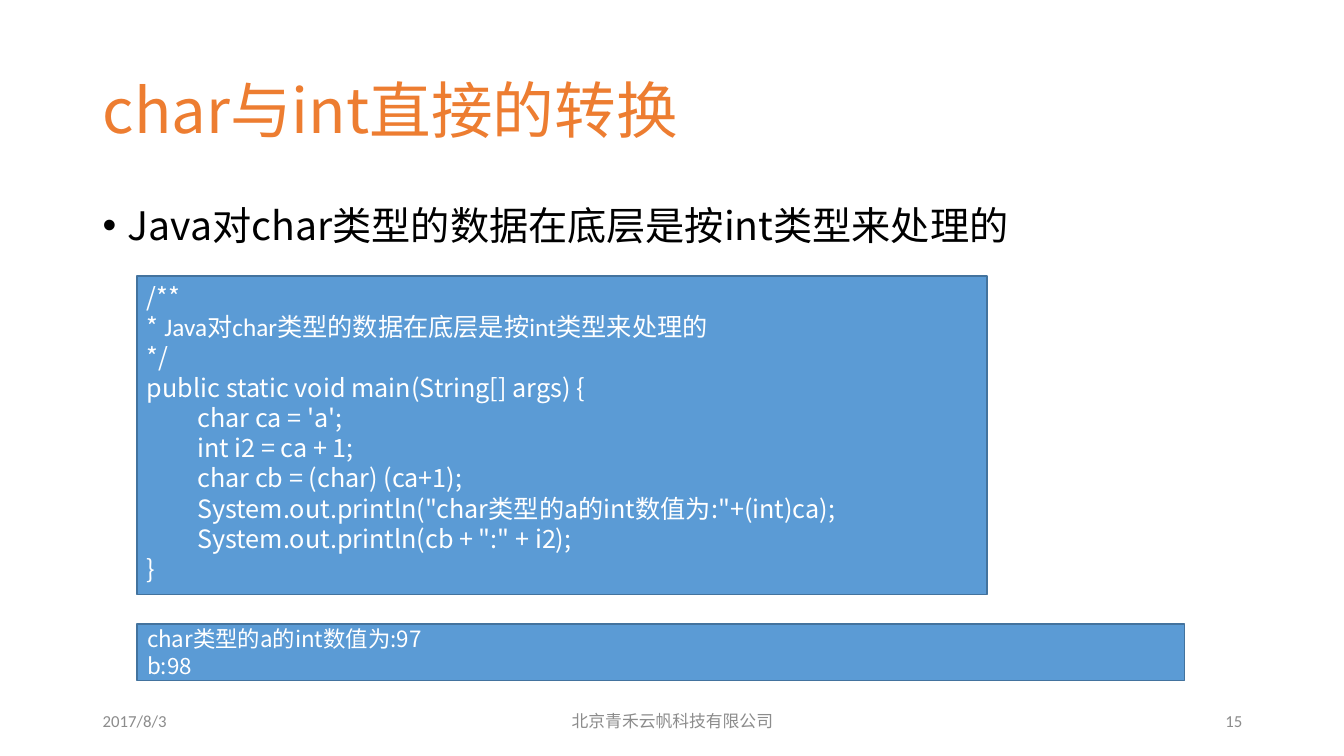
from dataclasses import dataclass
from typing import Optional

from lxml.etree import SubElement
from pptx import Presentation
from pptx.dml.color import RGBColor as Rgb
from pptx.enum.shapes import MSO_SHAPE as Kind
from pptx.enum.text import MSO_ANCHOR as Anchor, PP_ALIGN as Align
from pptx.oxml.ns import qn
from pptx.util import Inches, Pt

COLORS = {"title": "ED7D31", "body": "000000", "foot": "8C8C8C",
          "code": "FFFFFF", "fill": "5B9BD5", "edge": "43739E"}
NOTO = "Noto Sans CJK SC"
LATIN = "Calibri"
RULE = "Java对char类型的数据在底层是按int类型来处理的"
CODE = """/**
* 
*/
public static void main(String[] args) {
\tchar ca = 'a';
\tint i2 = ca + 1;
\tchar cb = (char) (ca+1);
\tSystem.out.println("char类型的a的int数值为:"+(int)ca);
\tSystem.out.println(cb + ":" + i2);
}"""
PRINT = "char类型的a的int数值为:97\nb:98"


@dataclass
class Block:
    text: str
    left: float
    top: float
    width: float
    height: float
    size: int
    color: str
    font: str = NOTO
    anchor: Anchor = Anchor.MIDDLE
    align: Align = Align.LEFT
    pitch: Optional[float] = None
    panel: bool = False


def set_font(run, block: Block, font: str) -> None:
    run.font.size = Pt(block.size)
    run.font.name = font
    run.font.color.rgb = Rgb.from_string(COLORS[block.color])
    SubElement(run.font._element, qn("a:ea"), typeface=NOTO)


def draw(slide, block: Block):
    place = [Inches(n) for n in (block.left, block.top, block.width, block.height)]
    if block.panel:
        shape = slide.shapes.add_shape(Kind.RECTANGLE, *place)
        shape.shadow.inherit = False
        shape.fill.solid()
        shape.fill.fore_color.rgb = Rgb.from_string(COLORS["fill"])
        shape.line.color.rgb = Rgb.from_string(COLORS["edge"])
        shape.line.width = Pt(1)
    else:
        shape = slide.shapes.add_textbox(*place)
    frame = shape.text_frame
    frame.word_wrap = True
    frame.vertical_anchor = block.anchor
    frame.text = block.text
    for line in frame.paragraphs:
        line.alignment = block.align
        if block.pitch:
            line.line_spacing = block.pitch
        for run in line.runs:
            set_font(run, block, block.font)
    return frame


def add_bullet(line) -> None:
    props = line._p.get_or_add_pPr()
    props.set("marL", str(Inches(0.25)))
    props.set("indent", str(-Inches(0.25)))
    SubElement(props, qn("a:buFont"), typeface="Arial")
    SubElement(props, qn("a:buChar"), char="•")


def main() -> None:
    deck = Presentation()
    deck.slide_width, deck.slide_height = Inches(13.33), Inches(7.5)
    slide = deck.slides.add_slide(deck.slide_layouts[6])

    title = Block("char与int直接的转换", 0.92, 0.4, 8.69, 1.45, 44, "title", pitch=0.9)
    body = Block(RULE, 0.92, 2, 11.5, 4.76, 28, "body", anchor=Anchor.TOP, pitch=0.9)
    code = Block(CODE, 1.36, 2.74, 8.43, 3.16, 18, "code", anchor=Anchor.TOP,
                 pitch=Pt(21.6), panel=True)
    result = Block(PRINT, 1.36, 6.19, 10.39, 0.56, 16, "code", pitch=Pt(19.2), panel=True)
    feet = [
        Block("2017/8/3", 0.92, 6.95, 3, 0.4, 12, "foot", LATIN),
        Block("北京青禾云帆科技有限公司", 4.42, 6.95, 4.5, 0.4, 12, "foot", align=Align.CENTER),
        Block("15", 9.42, 6.95, 3, 0.4, 12, "foot", LATIN, align=Align.RIGHT),
    ]

    draw(slide, title)
    add_bullet(draw(slide, body).paragraphs[0])
    for foot in feet:
        draw(slide, foot)
    note = draw(slide, code).paragraphs[1].add_run()
    note.text = RULE
    set_font(note, code, LATIN)
    draw(slide, result)
    deck.save("out.pptx")


if __name__ == "__main__":
    main()
